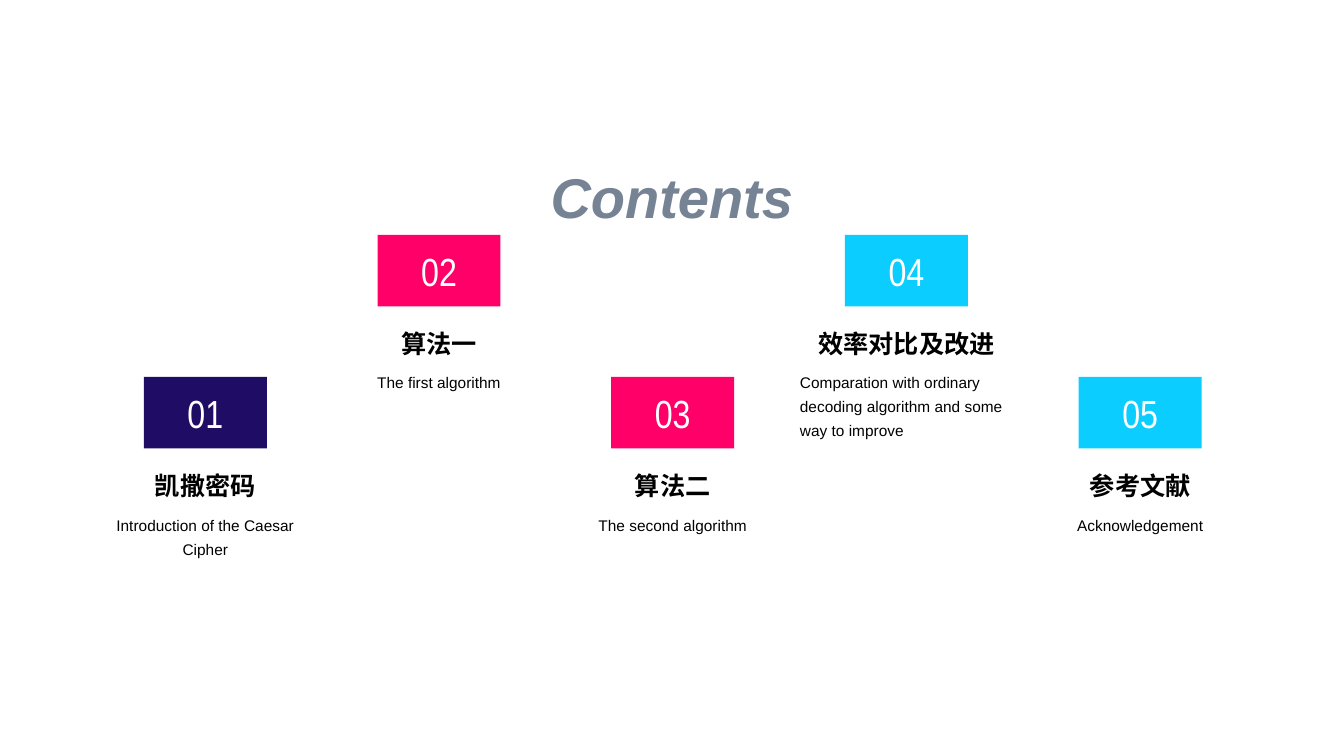
import pptx
import pptx.dml.color
import pptx.enum.shapes
import pptx.enum.text
import pptx.util

Cm = pptx.util.Cm
Align = pptx.enum.text.PP_ALIGN
Anchor = pptx.enum.text.MSO_ANCHOR

# Content: heading, description, box colour, description alignment
TITLE = "Contents"
CHAPTERS = [
    ("凯撒密码", "Introduction of the Caesar Cipher", "1F0D65", Align.CENTER),
    ("算法一", "The first algorithm", "FF0068", Align.CENTER),
    ("算法二", "The second algorithm", "FF0068", Align.CENTER),
    ("效率对比及改进", "Comparation with ordinary decoding algorithm and some way to improve",
     "0CCDFF", Align.LEFT),
    ("参考文献", "Acknowledgement", "0CCDFF", Align.CENTER),
]

# Layout in centimetres: columns step right, rows alternate low and high
FIRST_LEFT, COLUMN_STEP, COLUMN_WIDTH = 2.24, 5.89, 5.87
ROW_TOPS = (9.5, 5.92)
BOX_WIDTH, BOX_HEIGHT = 3.1, 1.8
HEADING_OFFSET, HEADING_HEIGHT = 2.16, 1.07
DESCRIPTION_HEIGHTS = {Align.CENTER: 1.55, Align.LEFT: 2.51}


def rgb(value):
    return pptx.dml.color.RGBColor.from_string(value)


def write(shape, text, size, color, font="Arial", bold=False, italic=False,
          align=Align.CENTER, anchor=Anchor.TOP, wrap=False, spacing=None):
    frame = shape.text_frame
    frame.text = text
    frame.word_wrap = wrap
    frame.auto_size = pptx.enum.text.MSO_AUTO_SIZE.NONE
    frame.vertical_anchor = anchor
    paragraph = frame.paragraphs[0]
    paragraph.alignment = align
    paragraph.line_spacing = spacing
    paragraph.font.name = font
    paragraph.font.size = pptx.util.Pt(size)
    paragraph.font.bold = bold
    paragraph.font.italic = italic
    paragraph.font.color.rgb = rgb(color)


def add_chapter(slide, index, heading, description, color, align):
    left = FIRST_LEFT + index * COLUMN_STEP
    top = ROW_TOPS[index % 2]

    # Numbered box, centred in its column
    box = slide.shapes.add_shape(
        pptx.enum.shapes.MSO_SHAPE.RECTANGLE,
        Cm(left + (COLUMN_WIDTH - BOX_WIDTH) / 2), Cm(top), Cm(BOX_WIDTH), Cm(BOX_HEIGHT))
    box.shadow.inherit = False
    box.fill.solid()
    box.fill.fore_color.rgb = rgb(color)
    box.line.fill.background()
    write(box, f"{index + 1:02}", 28, "FFFFFF", font="Arial Narrow", anchor=Anchor.MIDDLE)

    # Heading with the description directly below
    heading_top = top + HEADING_OFFSET
    heading_box = slide.shapes.add_textbox(
        Cm(left), Cm(heading_top), Cm(COLUMN_WIDTH), Cm(HEADING_HEIGHT))
    write(heading_box, heading, 18, "000000", bold=True, anchor=Anchor.BOTTOM)
    description_box = slide.shapes.add_textbox(
        Cm(left), Cm(heading_top + HEADING_HEIGHT),
        Cm(COLUMN_WIDTH), Cm(DESCRIPTION_HEIGHTS[align]))
    write(description_box, description, 11, "000000", align=align, wrap=True, spacing=1.3)


def main():
    presentation = pptx.Presentation()
    presentation.slide_width = Cm(33.87)
    presentation.slide_height = Cm(19.05)
    slide = presentation.slides.add_slide(presentation.slide_layouts[5])

    title = slide.shapes.title
    title.left, title.top, title.width, title.height = Cm(12.6), Cm(3.96), Cm(8.66), Cm(1.98)
    write(title, TITLE, 40, "768394", bold=True, italic=True)

    for index, chapter in enumerate(CHAPTERS):
        add_chapter(slide, index, *chapter)
    presentation.save("out.pptx")


if __name__ == "__main__":
    main()
